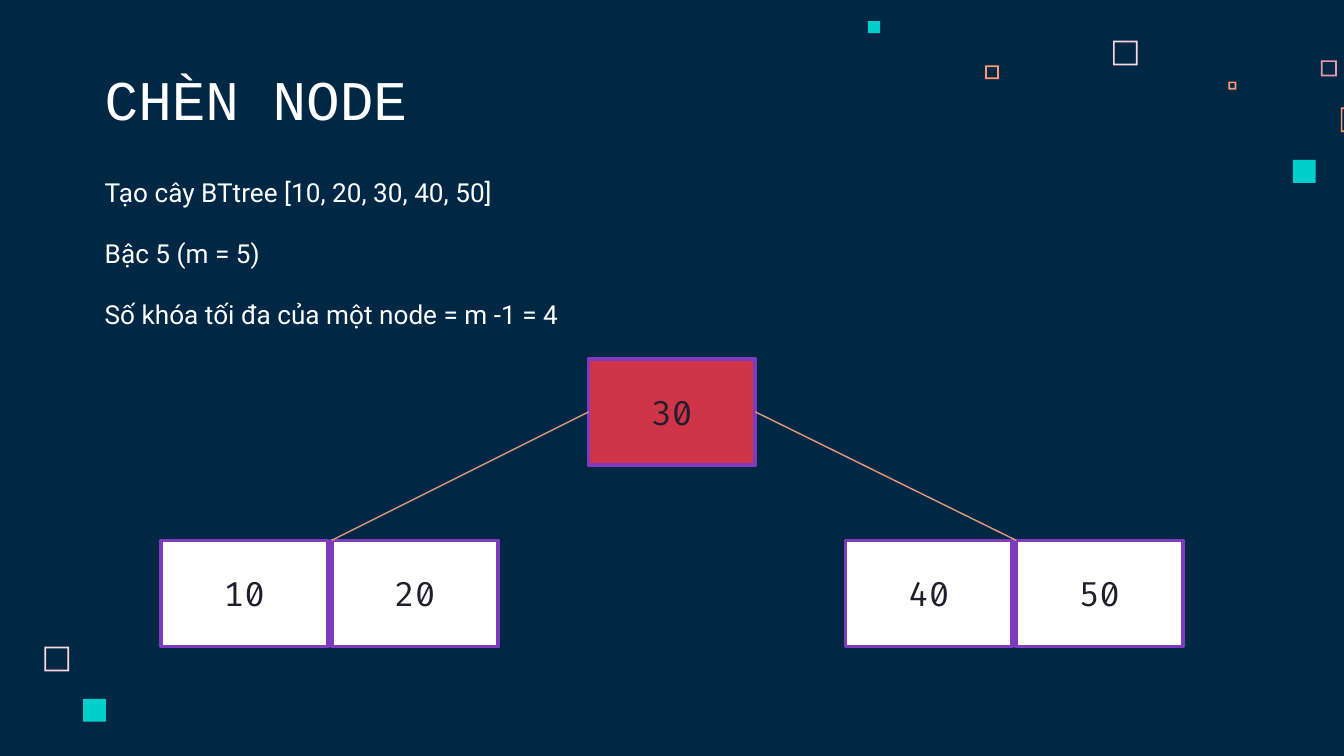
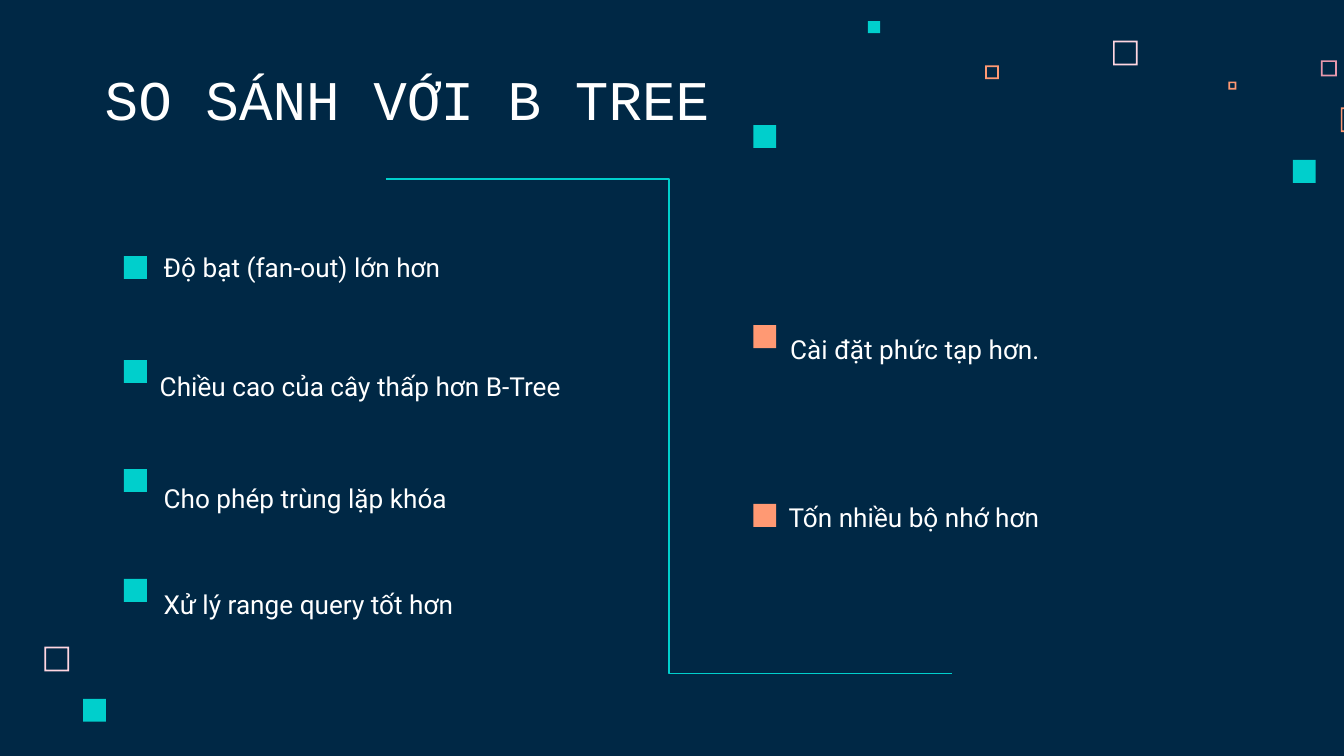
"""Build two slides on B+ tree insertion and its comparison with B tree."""
from lxml import etree
from pptx import Presentation
from pptx.dml.color import RGBColor
from pptx.enum.shapes import MSO_CONNECTOR, MSO_SHAPE
from pptx.enum.text import MSO_ANCHOR, PP_ALIGN
from pptx.oxml.ns import qn
from pptx.util import Pt

RECT, FRAME = MSO_SHAPE.RECTANGLE, MSO_SHAPE.FRAME
STRAIGHT, ELBOW = MSO_CONNECTOR.STRAIGHT, MSO_CONNECTOR.ELBOW
TOP, MIDDLE, BOTTOM = MSO_ANCHOR.TOP, MSO_ANCHOR.MIDDLE, MSO_ANCHOR.BOTTOM
CENTER = PP_ALIGN.CENTER


class Theme:
    navy, white, ink = "002845", "FFFFFF", "1E1E2C"
    cyan, orange, pink, rose = "00CFCC", "FF9973", "FFD6E1", "E898AC"
    red, purple, edge = "D03449", "7E3BBE", "E29B7E"
    title = {"name": "Courier New", "size": 30, "color": white}
    body = {"name": "Roboto", "size": 14, "color": white}
    key = {"name": "Fira Code", "size": 18, "color": ink}
    node_line, thin_line, frame_line = 2, 0.75, 0.9
    space_after = 16


WIDTH, HEIGHT = 720, 405
TITLE_BOX = (49, 32.4, 372.3, 45.4)
MARK = 12.3

FRAMES = [
    (596.3, 21.8, 13.2, Theme.pink),
    (707.6, 32.3, 8.6, Theme.rose),
    (658.1, 43.7, 4.3, Theme.orange),
    (718.3, 57.6, 13.2, Theme.orange),
    (527.8, 35.1, 7.3, Theme.orange),
    (23.8, 346.5, 13.2, Theme.pink),
]
SQUARES = [
    (692.6, 85.7, MARK, Theme.cyan),
    (465, 11.3, 6.5, Theme.cyan),
    (44.5, 374.4, MARK, Theme.cyan),
]

INSERT = {
    "title": "CHÈN NODE",
    "box": (49, 87.1, 272.2, 111.6),
    "lines": [
        "Tạo cây BTtree [10, 20, 30, 40, 50]",
        "Bậc 5 (m = 5)",
        "Số khóa tối đa của một node = m -1 = 4",
    ],
    "root": "30",
    "leaves": [(86.3, ["10", "20"]), (453, ["40", "50"])],
}
NODE_W, NODE_H, NODE_STEP = 89.3, 56.9, 91.4
ROOT_Y, LEAF_Y = 192.2, 289.5

COMPARE = {
    "title": "SO SÁNH VỚI B TREE",
    "divider": (206.8, 95.9, 510, 361),
    "columns": [
        (66.4, Theme.cyan, [
            (137.2, (80.6, 127.4, 246.2, 31.7), "Độ bạt (fan-out) lớn hơn"),
            (192.9, (78.5, 185, 246.2, 43.9), "Chiều cao của cây thấp hơn B-Tree"),
            (251.3, (80.6, 242.6, 259.2, 48.2), "Cho phép trùng lặp khóa"),
            (310.2, (80.6, 299.5, 259.2, 48.2), "Xử lý range query tốt hơn"),
        ]),
        (403.6, Theme.orange, [
            (174.2, (416.2, 167, 212.4, 40.3), "Cài đặt phức tạp hơn."),
            (270, (415.4, 265, 187.2, 24.2), "Tốn nhiều bộ nhớ hơn"),
        ]),
    ],
    "extra_mark": (403.6, 67, MARK, Theme.cyan),
}


def rgb(value):
    return RGBColor.from_string(value)


def pts(values):
    return [Pt(v) for v in values]


def set_all(target, values):
    for name, value in values.items():
        setattr(target, name, value)


def write(sp, lines, style, frame, align=None):
    tf = sp.text_frame
    set_all(tf, {"word_wrap": True, **frame})
    for i, line in enumerate(lines):
        p = tf.paragraphs[0] if i == 0 else tf.add_paragraph()
        p.alignment = align
        if len(lines) > 1:
            p.space_after = Pt(Theme.space_after)
        r = p.add_run()
        r.text = line
        set_all(r.font, {"name": style["name"], "size": Pt(style["size"])})
        r.font.color.rgb = rgb(style["color"])


def add_text(s, box, lines, style, anchor, inset=7.2):
    frame = {"vertical_anchor": anchor,
             "margin_top": Pt(inset), "margin_bottom": Pt(inset)}
    write(s.shapes.add_textbox(*pts(box)), lines, style, frame)


def add_block(s, kind, box, color):
    sp = s.shapes.add_shape(kind, *pts(box))
    sp.shadow.inherit = False
    sp.fill.solid()
    sp.fill.fore_color.rgb = rgb(color)
    sp.line.fill.background()
    return sp


def add_square(s, x, y, size, color, kind=RECT):
    sp = add_block(s, kind, (x, y, size, size), color)
    if kind == FRAME:
        sp.adjustments[0] = Theme.frame_line / size


def add_node(s, x, y, label, color):
    sp = add_block(s, RECT, (x, y, NODE_W, NODE_H), color)
    sp.line.color.rgb = rgb(Theme.purple)
    sp.line.width = Pt(Theme.node_line)
    write(sp, [label], Theme.key, {"vertical_anchor": MIDDLE}, CENTER)


def add_line(s, kind, ends, color):
    cx = s.shapes.add_connector(kind, *pts(ends))
    cx.line.color.rgb = rgb(color)
    cx.line.width = Pt(Theme.thin_line)
    etree.SubElement(cx._element.spPr, qn("a:effectLst"))


def add_slide(prs, title):
    s = prs.slides.add_slide(prs.slide_layouts[6])
    for frame in FRAMES:
        add_square(s, *frame, kind=FRAME)
    for square in SQUARES:
        add_square(s, *square)
    add_text(s, TITLE_BOX, [title], Theme.title, BOTTOM)
    return s


def build_insert(prs):
    s = add_slide(prs, INSERT["title"])
    add_text(s, INSERT["box"], INSERT["lines"], Theme.body, TOP)
    root_x = (WIDTH - NODE_W) / 2
    add_node(s, root_x, ROOT_Y, INSERT["root"], Theme.red)
    for side, (x, keys) in enumerate(INSERT["leaves"]):
        for i, key in enumerate(keys):
            add_node(s, x + i * NODE_STEP, LEAF_Y, key, Theme.white)
        ends = (root_x + side * NODE_W, ROOT_Y + NODE_H / 2, x + NODE_STEP, LEAF_Y)
        add_line(s, STRAIGHT, ends, Theme.edge)


def build_compare(prs):
    s = add_slide(prs, COMPARE["title"])
    add_line(s, ELBOW, COMPARE["divider"], Theme.cyan)
    add_square(s, *COMPARE["extra_mark"])
    for x, color, points in COMPARE["columns"]:
        for y, box, text in points:
            add_square(s, x, y, MARK, color)
            add_text(s, box, [text], Theme.body, MIDDLE, inset=3.6)


def main():
    prs = Presentation()
    set_all(prs, {"slide_width": Pt(WIDTH), "slide_height": Pt(HEIGHT)})
    fill = prs.slide_master.background.fill
    fill.solid()
    fill.fore_color.rgb = rgb(Theme.navy)
    build_insert(prs)
    build_compare(prs)
    prs.save("out.pptx")


if __name__ == "__main__":
    main()
